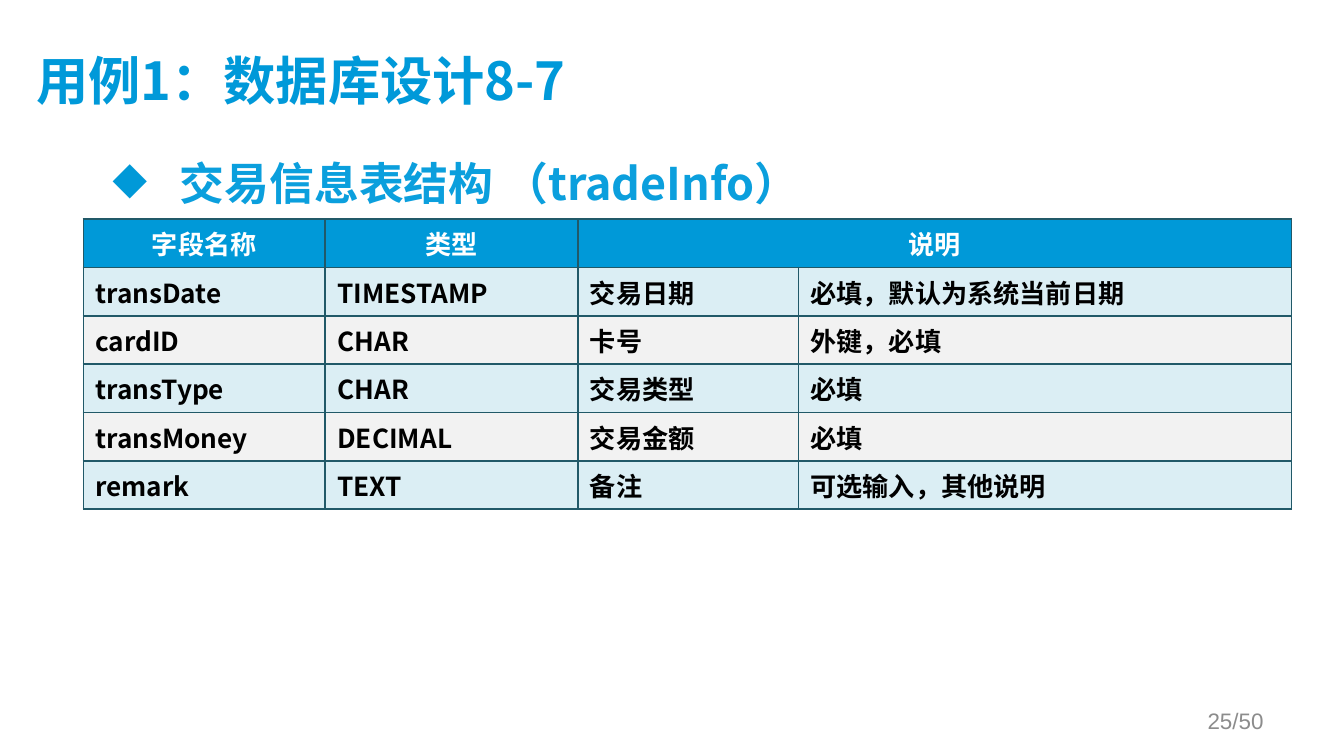
from lxml import etree
from pptx import Presentation
from pptx.dml.color import RGBColor
from pptx.enum import text
from pptx.oxml import ns
from pptx.util import Inches, Pt

TITLE_BLUE = RGBColor(0x00, 0x99, 0xD9)
HEADER_BLUE = RGBColor(0x00, 0x99, 0xD8)
SUBTITLE_BLUE = RGBColor(0x0B, 0x9F, 0xDD)
ROW_BLUE = RGBColor(0xDB, 0xEE, 0xF4)
ROW_GREY = RGBColor(0xF2, 0xF2, 0xF2)
BORDER = RGBColor(0x21, 0x59, 0x68)
NUMBER_GREY = RGBColor(0x8C, 0x8C, 0x8C)
WHITE = RGBColor(0xFF, 0xFF, 0xFF)
BLACK = RGBColor(0, 0, 0)
CJK_FONT = "Noto Sans CJK SC"


def add_span(para, words, size, color, font=CJK_FONT, bold=True):
    span = para.add_run()
    span.text = words
    span.font.size = Pt(size)
    span.font.bold = bold
    span.font.color.rgb = color
    span.font.name = font
    east_asian = etree.SubElement(span.font._element, ns.qn("a:ea"))
    east_asian.set("typeface", font)


def add_borders(cell):
    properties = cell._tc.get_or_add_tcPr()
    for index, side in enumerate(("lnL", "lnR", "lnT", "lnB")):
        line = etree.Element(ns.qn(f"a:{side}"), w=str(Pt(1)))
        fill = etree.SubElement(line, ns.qn("a:solidFill"))
        etree.SubElement(fill, ns.qn("a:srgbClr"), val=str(BORDER))
        properties.insert(index, line)


deck = Presentation()
deck.slide_width = Inches(10)
deck.slide_height = Inches(10) * 9 // 16
page = deck.slides.add_slide(deck.slide_layouts[5])

# Title
title = page.shapes.title
title.left, title.top = Inches(0.27), Inches(0.23)
title.width, title.height = Inches(8.95), Inches(0.77)
frame = title.text_frame
frame.auto_size = text.MSO_AUTO_SIZE.NONE
frame.vertical_anchor = text.MSO_ANCHOR.MIDDLE
frame.margin_left = frame.margin_top = 0
frame.margin_right, frame.margin_bottom = Inches(0.1), Inches(0.05)
frame.paragraphs[0].alignment = text.PP_ALIGN.LEFT
add_span(frame.paragraphs[0], "用例1：数据库设计8-7", 28, TITLE_BLUE)

# Bulleted subtitle
subtitle = page.shapes.add_textbox(Inches(0.74), Inches(1.11), Inches(8.49), Inches(3.71))
subtitle.text_frame.word_wrap = True
para = subtitle.text_frame.paragraphs[0]
indent = para._p.get_or_add_pPr()
indent.set("marL", str(Inches(0.5)))
indent.set("indent", str(Inches(-0.5)))
bullet_color = etree.SubElement(indent, ns.qn("a:buClr"))
etree.SubElement(bullet_color, ns.qn("a:srgbClr"), val=str(HEADER_BLUE))
etree.SubElement(indent, ns.qn("a:buFont"), typeface="OpenSymbol")
etree.SubElement(indent, ns.qn("a:buChar"), char="◆")
add_span(para, "交易信息表结构 （tradeInfo）", 24, SUBTITLE_BLUE)

# Field table
ROWS = [
    ("字段名称", "类型", "说明", ""),
    ("transDate", "TIMESTAMP", "交易日期", "必填，默认为系统当前日期"),
    ("cardID", "CHAR", "卡号", "外键，必填"),
    ("transType", "CHAR", "交易类型", "必填"),
    ("transMoney", "DECIMAL", "交易金额", "必填"),
    ("remark", "TEXT", "备注", "可选输入，其他说明"),
]
COLUMN_WIDTHS = (1.8, 1.88, 1.64, 3.67)
ROW_HEIGHT = 0.36

table = page.shapes.add_table(
    len(ROWS), len(COLUMN_WIDTHS), Inches(0.62), Inches(1.63),
    Inches(sum(COLUMN_WIDTHS)), Inches(ROW_HEIGHT * len(ROWS))).table
for column, width in zip(table.columns, COLUMN_WIDTHS):
    column.width = Inches(width)
table.cell(0, 2).merge(table.cell(0, 3))

for r, row in enumerate(ROWS):
    table.rows[r].height = Inches(ROW_HEIGHT)
    header = r == 0
    background = HEADER_BLUE if header else (ROW_GREY, ROW_BLUE)[r % 2]
    for c, words in enumerate(row):
        cell = table.cell(r, c)
        cell.fill.solid()
        cell.fill.fore_color.rgb = background
        add_borders(cell)
        cell.vertical_anchor = text.MSO_ANCHOR.MIDDLE
        cell.margin_left = cell.margin_right = Inches(0.09)
        cell.margin_top = cell.margin_bottom = Inches(0.04)
        if words:
            para = cell.text_frame.paragraphs[0]
            para.alignment = text.PP_ALIGN.CENTER if header else text.PP_ALIGN.LEFT
            add_span(para, words, 14, WHITE if header else BLACK)

# Page number
number = page.shapes.add_textbox(Inches(7.17), Inches(5.21), Inches(2.33), Inches(0.3))
number.text_frame.word_wrap = True
number.text_frame.vertical_anchor = text.MSO_ANCHOR.MIDDLE
para = number.text_frame.paragraphs[0]
para.alignment = text.PP_ALIGN.RIGHT
add_span(para, "25/50", 12, NUMBER_GREY, font="Arial", bold=False)

deck.save("out.pptx")
